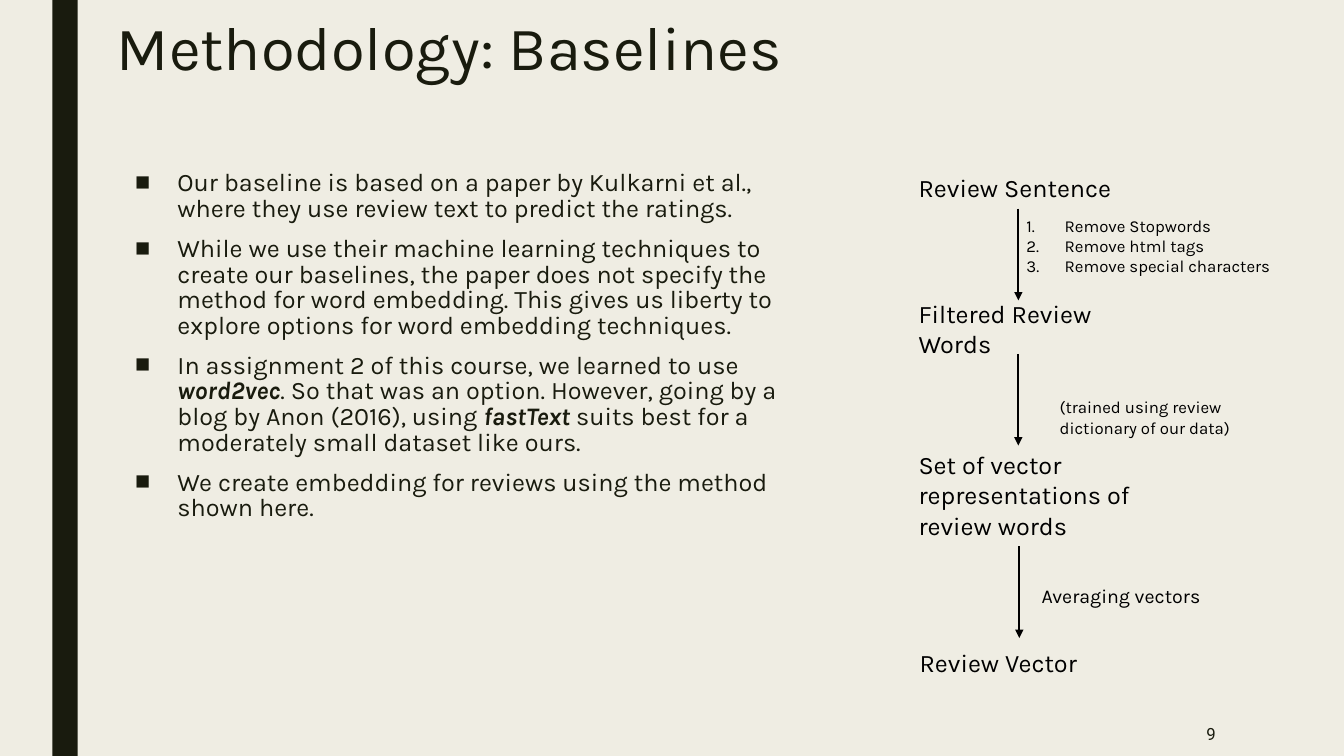
from lxml import etree
from pptx import Presentation
from pptx import util as u
from pptx.dml.color import RGBColor
from pptx.enum import shapes, text
from pptx.oxml.ns import qn

COLOURS = {"paper": "EFEDE3", "ink": "191B0E", "black": "000000"}

BULLETS = [
    ["Our baseline is based on a paper by Kulkarni et al., where they use review text "
     "to predict the ratings."],
    ["While we use their machine learning techniques to create our baselines, the paper "
     "does not specify the method for word embedding. This gives us liberty to explore "
     "options for word embedding techniques."],
    ["In assignment 2 of this course, we learned to use ", "word2vec",
     ". So that was an option. However, going by a blog by Anon (2016), using ",
     "fastText", " suits best for a moderately small dataset like ours."],
    ["We create embedding for reviews using the method shown here."],
]
KEY_TERMS = {"word2vec", "fastText"}

STAGES = [
    (9.06, 1.66, 2.08, 0.4, "Review Sentence"),
    (9.06, 2.91, 2.45, 0.7, "Filtered Review Words"),
    (9.06, 4.41, 2.78, 1.01, "Set of vector representations of review words"),
    (9.07, 6.37, 2.08, 0.4, "Review Vector"),
]
CLEANING_STEPS = ["Remove Stopwords", "Remove html tags", "Remove special characters"]
ARROWS = [(10.1, 2.07), (10.1, 3.51), (10.11, 5.42)]
ARROW_LENGTH = 0.91


def colour(name):
    """Return the named colour."""
    return RGBColor.from_string(COLOURS[name])


def place(shape, left, top, width, height):
    """Move and size a shape, given in inches."""
    shape.left, shape.top = u.Inches(left), u.Inches(top)
    shape.width, shape.height = u.Inches(width), u.Inches(height)


def prepare_frame(frame, anchor=text.MSO_ANCHOR.TOP, wrap=True):
    """Set the margins, anchor and wrapping of a text frame."""
    frame.auto_size = text.MSO_AUTO_SIZE.NONE
    frame.word_wrap = wrap
    frame.vertical_anchor = anchor
    frame.margin_left = frame.margin_right = u.Inches(0.05)
    frame.margin_top = frame.margin_bottom = u.Inches(0.05)


def format_runs(paragraph, size, ink, font="Karla"):
    """Give all runs of a paragraph one font, size and colour."""
    for run in paragraph.runs:
        run.font.name = font
        run.font.size = u.Pt(size)
        run.font.color.rgb = colour(ink)


def add_marker(paragraph, indent, tag, **attributes):
    """Give a paragraph a hanging indent and a bullet or number."""
    properties = paragraph._p.get_or_add_pPr()
    properties.set("marL", str(u.Inches(indent)))
    properties.set("indent", str(u.Inches(-indent)))
    etree.SubElement(properties, qn(tag), attributes)


def add_label(slide, left, top, width, height, lines, size, numbered=False):
    """Add a black text box, with one paragraph for each line."""
    box = slide.shapes.add_textbox(0, 0, 0, 0)
    place(box, left, top, width, height)
    prepare_frame(box.text_frame)
    box.text_frame.text = lines
    for paragraph in box.text_frame.paragraphs:
        if numbered:
            add_marker(paragraph, 0.38, "a:buAutoNum", type="arabicPeriod")
        format_runs(paragraph, size, "black")


def add_arrow(slide, left, top):
    """Add a downward arrow of the flow."""
    arrow = slide.shapes.add_connector(
        shapes.MSO_CONNECTOR.STRAIGHT, u.Inches(left), u.Inches(top),
        u.Inches(left), u.Inches(top + ARROW_LENGTH))
    arrow.line.color.rgb = colour("black")
    arrow.line.width = u.Pt(1.5)
    etree.SubElement(arrow.line._get_or_add_ln(), qn("a:tailEnd"), type="triangle")
    etree.SubElement(arrow._element.spPr, qn("a:effectLst"))


def add_side_bar(slide):
    """Add the dark bar at the left."""
    bar = slide.shapes.add_shape(shapes.MSO_SHAPE.RECTANGLE, 0, 0, 0, 0)
    place(bar, 0.52, 0, 0.25, 7.5)
    bar.shadow.inherit = False
    bar.fill.solid()
    bar.fill.fore_color.rgb = colour("ink")
    bar.line.fill.background()


def fill_title(title):
    """Write the slide title."""
    place(title, 1.11, 0.13, 11.88, 1.6)
    prepare_frame(title.text_frame)
    title.text_frame.text = "Methodology: Baselines"
    paragraph = title.text_frame.paragraphs[0]
    paragraph.alignment = text.PP_ALIGN.LEFT
    paragraph.line_spacing = 0.89
    format_runs(paragraph, 44, "ink")


def fill_body(body):
    """Write the bulleted list with its key terms in bold italic."""
    place(body, 1.29, 1.65, 6.87, 4.63)
    frame = body.text_frame
    prepare_frame(frame)
    for index, parts in enumerate(BULLETS):
        paragraph = frame.add_paragraph() if index else frame.paragraphs[0]
        add_marker(paragraph, 0.42, "a:buChar", char="■")
        paragraph.line_spacing = 0.85
        paragraph.space_before = u.Pt(10 if index else 0)
        for part in parts:
            run = paragraph.add_run()
            run.text = part
            run.font.bold = run.font.italic = part in KEY_TERMS
        format_runs(paragraph, 18, "ink")


def add_page_number(slide):
    """Add the page number at the lower right."""
    box = slide.shapes.add_textbox(0, 0, 0, 0)
    place(box, 11.9, 7.13, 0.21, 0.29)
    prepare_frame(box.text_frame, text.MSO_ANCHOR.MIDDLE, False)
    box.text_frame.text = "9"
    paragraph = box.text_frame.paragraphs[0]
    paragraph.alignment = text.PP_ALIGN.RIGHT
    format_runs(paragraph, 12, "ink", "Roboto")


def main():
    """Build the slide and save it."""
    presentation = Presentation()
    presentation.slide_width = u.Inches(13.33)
    presentation.slide_height = u.Inches(7.5)
    slide = presentation.slides.add_slide(presentation.slide_layouts[1])
    slide.background.fill.solid()
    slide.background.fill.fore_color.rgb = colour("paper")
    add_side_bar(slide)
    fill_title(slide.shapes.title)
    fill_body(slide.placeholders[1])
    add_page_number(slide)
    for *area, stage in STAGES:
        add_label(slide, *area, stage, 18)
    for left, top in ARROWS:
        add_arrow(slide, left, top)
    add_label(slide, 10.13, 2.09, 2.56, 0.68, "\n".join(CLEANING_STEPS), 12, numbered=True)
    add_label(slide, 10.46, 3.89, 1.9, 0.48, "(trained using review dictionary of our data)", 12)
    add_label(slide, 10.28, 5.74, 2.45, 0.32, "Averaging vectors", 14)
    presentation.save("out.pptx")


if __name__ == "__main__":
    main()
